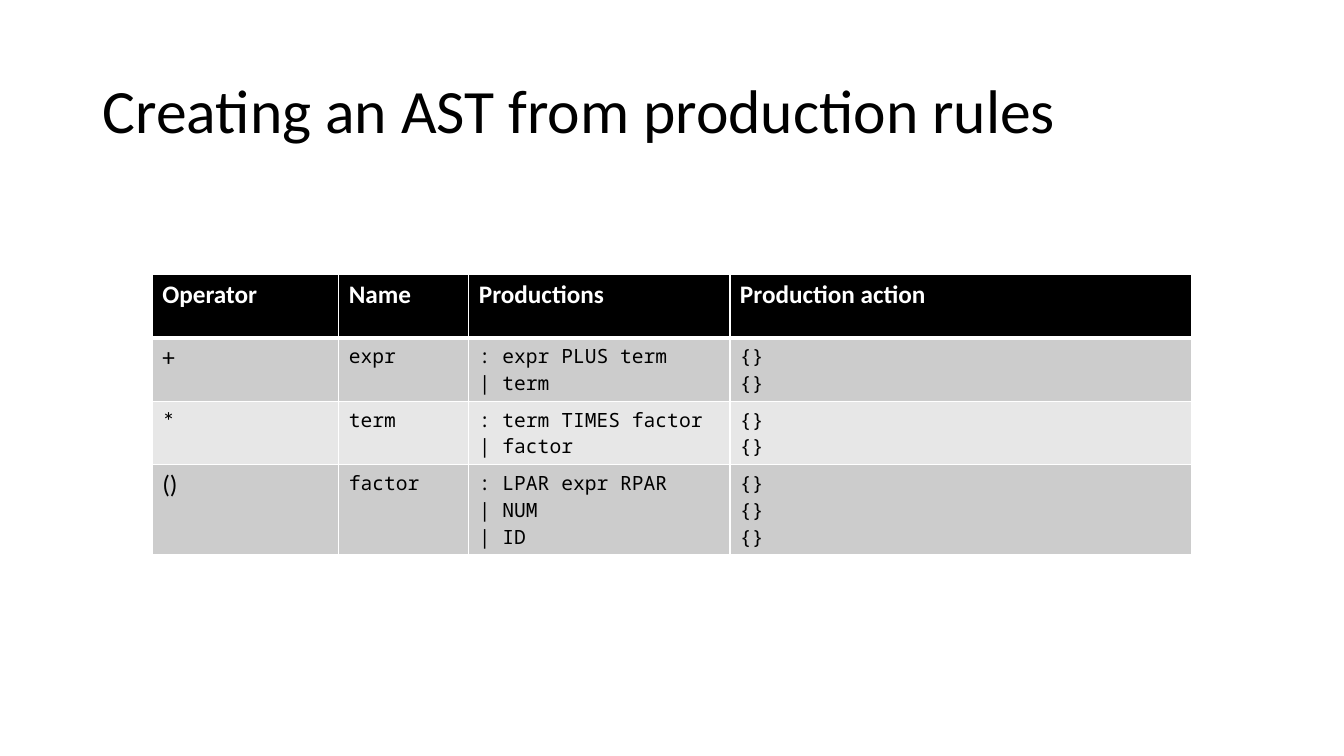
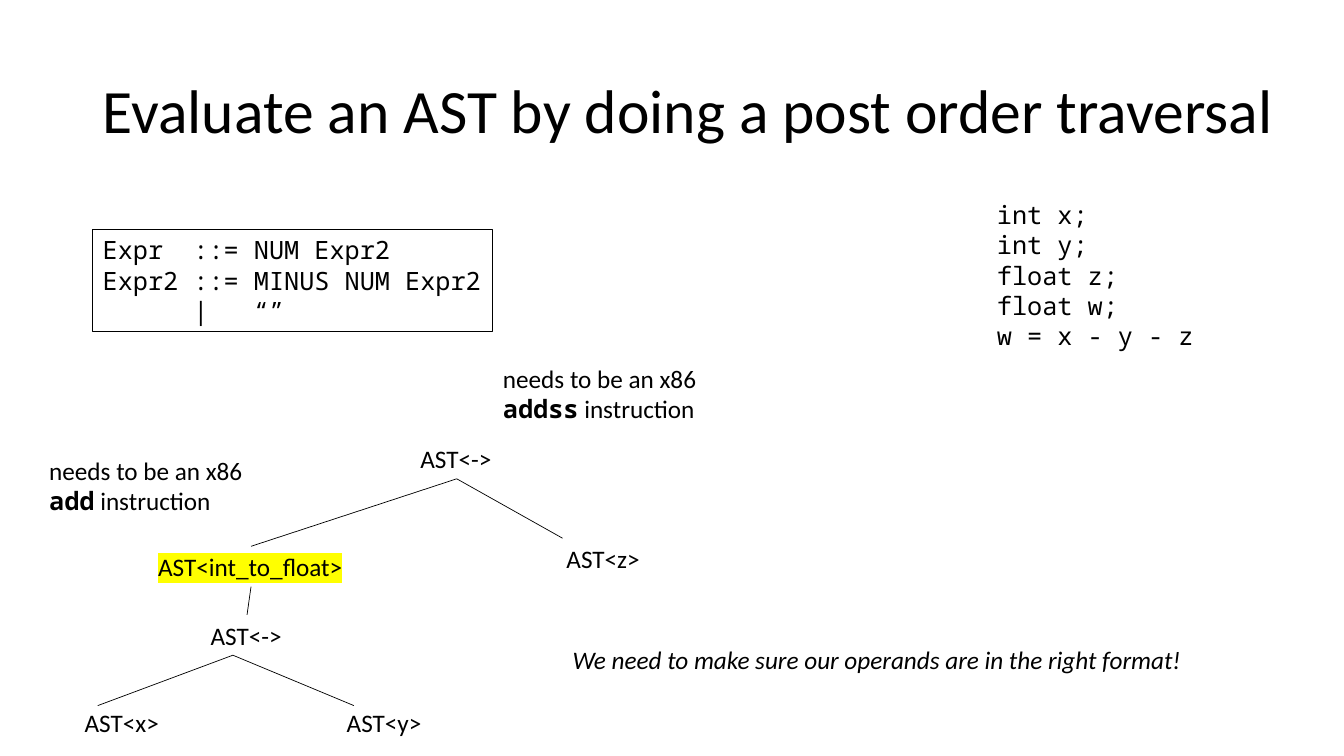
"""Build two slides on creating and evaluating an abstract syntax tree."""
from dataclasses import dataclass

from lxml.etree import SubElement
from pptx import Presentation
from pptx.dml.color import RGBColor
from pptx.enum.shapes import MSO_CONNECTOR, MSO_SHAPE
from pptx.enum.text import MSO_ANCHOR, MSO_AUTO_SIZE, PP_ALIGN
from pptx.oxml.ns import qn
from pptx.util import Inches, Pt


@dataclass(frozen=True)
class Theme:
    """Colours, fonts and type sizes shared by the slides."""

    ink: str = "000000"
    paper: str = "FFFFFF"
    dark_band: str = "CCCCCC"
    light_band: str = "E7E7E7"
    marker: str = "FFFF00"
    sans: str = "Calibri"
    mono: str = "Noto Sans Mono"
    title_size: int = 44
    body_size: int = 18
    code_size: int = 14


THEME = Theme()

GRAMMAR = "Expr  ::= NUM Expr2\nExpr2 ::= MINUS NUM Expr2\n      |   “”"
PROGRAM = "int x;\nint y;\nfloat z;\nfloat w;\nw = x - y - z"

RULE_COLUMNS = (1.85, 1.29, 2.59, 4.58)
RULE_ROWS = (0.63, 0.63, 0.63, 0.89)
RULES = (
    ("Operator", "Name", "Productions", "Production action"),
    ("+", "expr", ": expr PLUS term\n| term", "{}\n{}"),
    ("*", "term", ": term TIMES factor\n| factor", "{}\n{}"),
    ("()", "factor", ": LPAR expr RPAR\n| NUM\n| ID", "{}\n{}\n{}"),
)

TREE_NODES = (
    ("AST<->", 4.07, 4.35, 0.91, None),
    ("AST<z>", 5.52, 5.34, 0.94, None),
    ("AST<int_to_float>", 1.47, 5.42, 2.05, THEME.marker),
    ("AST<->", 1.99, 6.1, 0.91, None),
    ("AST<x>", 0.74, 6.97, 0.95, None),
    ("AST<y>", 3.34, 6.97, 0.95, None),
)
TREE_BRANCHES = (
    ((4.53, 4.75), ((2.49, 5.42), (5.58, 5.34))),
    ((2.49, 5.82), ((2.45, 6.1),)),
    ((2.31, 6.5), ((0.97, 7), (3.51, 7))),
)


def rgb(code):
    """Turn a hex code into a colour."""
    return RGBColor.from_string(code)


def write_text(frame, text, *, size=THEME.body_size, font=THEME.sans, color=THEME.ink,
               bold=False, italic=False, highlight=None, line_spacing=None):
    """Write one paragraph per line; words between backticks become bold code."""
    for index, line in enumerate(text.split("\n")):
        paragraph = frame.paragraphs[0] if index == 0 else frame.add_paragraph()
        paragraph.alignment = PP_ALIGN.LEFT
        if line_spacing:
            paragraph.line_spacing = line_spacing
        for position, words in enumerate(line.split("`")):
            if not words:
                continue
            is_code = position % 2 == 1
            run = paragraph.add_run()
            run.text = words
            run.font.size = Pt(size)
            run.font.name = THEME.mono if is_code else font
            run.font.bold = bold or is_code
            run.font.italic = italic
            run.font.color.rgb = rgb(color)
            if highlight:
                add_highlight(run, highlight)


def add_highlight(run, color):
    """Put a marker colour behind a run."""
    properties = run.font._element
    highlight = SubElement(properties, qn("a:highlight"))
    SubElement(highlight, qn("a:srgbClr"), val=color)
    properties.find(qn("a:solidFill")).addnext(highlight)


def add_title(slide, text, width=11.5):
    """Add the slide title."""
    title = slide.shapes.add_textbox(Inches(0.92), Inches(0.4), Inches(width), Inches(1.45))
    title.text_frame.word_wrap = True
    title.text_frame.vertical_anchor = MSO_ANCHOR.MIDDLE
    write_text(title.text_frame, text, size=THEME.title_size, line_spacing=0.9)


def add_label(slide, text, left, top, width, height=0.4, **text_format):
    """Add unwrapped text that fits its box."""
    label = slide.shapes.add_textbox(Inches(left), Inches(top), Inches(width), Inches(height))
    label.text_frame.word_wrap = False
    label.text_frame.auto_size = MSO_AUTO_SIZE.SHAPE_TO_FIT_TEXT
    write_text(label.text_frame, text, **text_format)


def add_code_box(slide, text, left, top, width, height):
    """Add code inside a thin outline."""
    box = slide.shapes.add_shape(MSO_SHAPE.RECTANGLE, Inches(left), Inches(top),
                                 Inches(width), Inches(height))
    box.shadow.inherit = False
    box.fill.background()
    box.line.color.rgb = rgb(THEME.ink)
    box.line.width = Pt(0.75)
    box.text_frame.word_wrap = False
    box.text_frame.auto_size = MSO_AUTO_SIZE.SHAPE_TO_FIT_TEXT
    box.text_frame.vertical_anchor = MSO_ANCHOR.TOP
    write_text(box.text_frame, text, font=THEME.mono)


def add_branch(slide, start, end):
    """Join a tree node to its child."""
    branch = slide.shapes.add_connector(MSO_CONNECTOR.STRAIGHT,
                                        *(Inches(value) for value in (*start, *end)))
    branch.line.color.rgb = rgb(THEME.ink)
    branch.line.width = Pt(0.5)
    SubElement(branch._element.spPr, qn("a:effectLst"))


def set_cell_borders(cell, **widths):
    """Draw paper-coloured borders, given the width in points for each side tag."""
    properties = cell._tc.get_or_add_tcPr()
    for index, (side, width) in enumerate(widths.items()):
        border = SubElement(properties, qn(f"a:{side}"), w=str(Pt(width)))
        fill = SubElement(border, qn("a:solidFill"))
        SubElement(fill, qn("a:srgbClr"), val=THEME.paper)
        properties.insert(index, border)


def add_rules_table(slide, left, top):
    """Add the table of production rules."""
    frame = slide.shapes.add_table(len(RULES), len(RULE_COLUMNS), Inches(left), Inches(top),
                                   Inches(sum(RULE_COLUMNS)), Inches(sum(RULE_ROWS)))
    table = frame.table
    for column, width in zip(table.columns, RULE_COLUMNS):
        column.width = Inches(width)
    for row, height in zip(table.rows, RULE_ROWS):
        row.height = Inches(height)
    bands = (THEME.light_band, THEME.dark_band)
    for row, rule in enumerate(RULES):
        for column, text in enumerate(rule):
            cell = table.cell(row, column)
            cell.fill.solid()
            cell.fill.fore_color.rgb = rgb(bands[row % 2] if row else THEME.ink)
            set_cell_borders(cell, lnL=1, lnR=1, lnT=3 if row == 1 else 1,
                             lnB=1 if row else 3)
            if row == 0:
                write_text(cell.text_frame, text, color=THEME.paper, bold=True)
            elif column == 0:
                write_text(cell.text_frame, text)
            else:
                write_text(cell.text_frame, text, size=THEME.code_size, font=THEME.mono)


def build_rules_slide(slide):
    """Show the production rules and their empty actions."""
    add_title(slide, "Creating an AST from production rules")
    add_rules_table(slide, 1.51, 2.72)


def build_traversal_slide(slide):
    """Show the grammar, the program and its annotated tree."""
    add_title(slide, "Evaluate an AST by doing a post order traversal", width=12.05)
    add_code_box(slide, GRAMMAR, 0.92, 2.28, 3.97, 1.01)
    add_label(slide, PROGRAM, 9.79, 1.93, 2.16, 1.62, font=THEME.mono)
    for text, left, top, width, highlight in TREE_NODES:
        add_label(slide, text, left, top, width, highlight=highlight)
    for parent, children in TREE_BRANCHES:
        for child in children:
            add_branch(slide, parent, child)
    for instruction, left, top, width in (("add", 0.39, 4.47, 2.14),
                                          ("addss", 4.89, 3.55, 2.18)):
        add_label(slide, f"needs to be an x86\n`{instruction}` instruction ",
                  left, top, width, 0.71)
    add_label(slide, "We need to make sure our operands are in the right format!",
              5.58, 6.34, 6.31, italic=True)


def main():
    """Build and save the presentation."""
    presentation = Presentation()
    presentation.slide_width = Inches(13.33)
    presentation.slide_height = Inches(7.5)
    blank_layout = presentation.slide_layouts[6]
    for build_slide in (build_rules_slide, build_traversal_slide):
        build_slide(presentation.slides.add_slide(blank_layout))
    presentation.save("out.pptx")


main()
